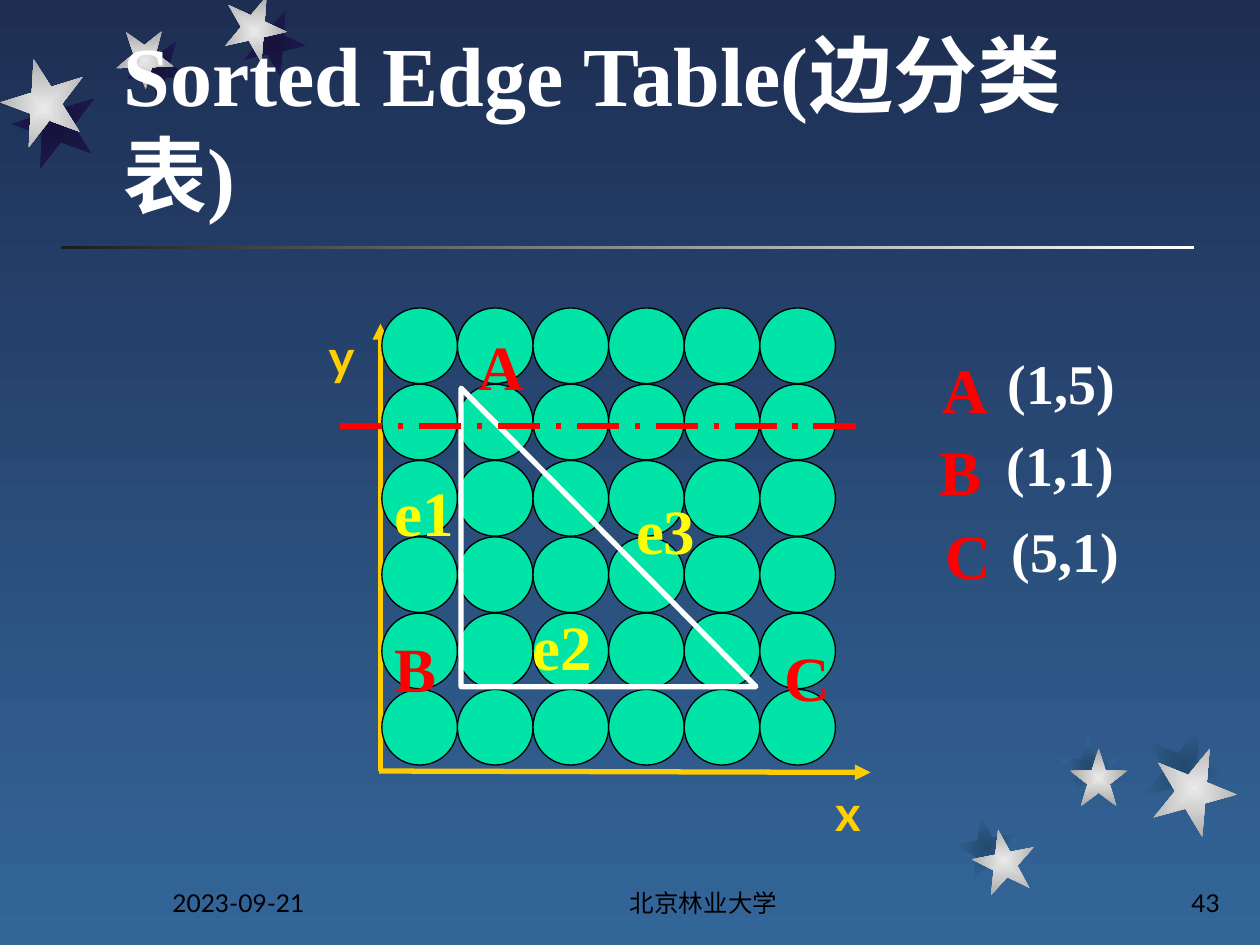
"""Build the Sorted Edge Table slide with its pixel grid, triangle and labels."""
from lxml.etree import SubElement
from pptx import Presentation
from pptx.dml.color import RGBColor
from pptx.enum.dml import MSO_LINE
from pptx.enum.shapes import MSO_CONNECTOR, MSO_SHAPE
from pptx.enum.text import MSO_ANCHOR, PP_ALIGN
from pptx.oxml.ns import qn
from pptx.util import Pt

SLIDE_SIZE = (720, 540)
BACKGROUND = ("1E2E53", "336699")
RULE = (34.6, 140.4, 648, 2.2)
RULE_COLORS = ("1C1C1C", "FFFFFF")

STAR_LIGHT = ("EAEAEA", "A7A7A7")
TOP_SHADE = ("15133B", "1E1A53")
BOTTOM_SHADE = ("24496D", "336699")
STAR_GROUPS = [
    (TOP_SHADE, [(138.2, 7.9, 36, 36, 167.3), (72, 23.8, 36, 33.1, 178.3), (7.2, 49.7, 48.2, 48.2, 200.3)]),
    (STAR_LIGHT, [(127.4, 0, 36, 36, 167.3), (66.2, 18, 33.1, 33.1, 178.3), (0.7, 37.4, 48.2, 48.2, 200.3)]),
    (BOTTOM_SHADE, [(545.8, 465.8, 36, 36, 349), (605.5, 421.2, 33.1, 33.1, 0), (652.3, 414, 48.2, 48.2, 22)]),
    (STAR_LIGHT, [(555.8, 473.8, 36, 36, 349), (611.3, 427.7, 33.1, 33.1, 0), (658.1, 426.2, 48.2, 48.2, 22)]),
]

GRID_ORIGIN = (218.2, 176)
GRID_PITCH = (43.2, 43.6)
GRID_COUNT = 6
PIXEL_SIZE = 43.2
TRIANGLE = (263.5, 221.8, 168.5, 170.6)
AXES = [((217.4, 185), (217.4, 440.6)), ((497.5, 441.4), (216.7, 440.6))]
SCAN_LINE = ((194.4, 243.4), (491, 243.4))

STYLES = {
    "footer": {"size": Pt(14), "name": "Lato", "color": "000000"},
    "title": {"size": Pt(48), "name": "Times New Roman", "bold": True, "color": "FFFFFF"},
    "axis": {"size": Pt(28), "name": "Lato", "bold": True, "color": "FFCF01"},
    "vertex": {"size": Pt(36), "name": "Times New Roman", "bold": True, "color": "FF0000"},
    "edge": {"size": Pt(36), "name": "Times New Roman", "bold": True, "color": "FFFF00"},
    "coordinate": {"size": Pt(32), "name": "Times New Roman", "bold": True, "color": "FFFFFF"},
}
LABEL_SIZES = {"axis": (31.3, 41), "vertex": (40.3, 50.4), "edge": (60.5, 50.4), "coordinate": (75.6, 45.4)}
UNWRAPPED = ("axis", "coordinate")

FOOTERS = [
    ("2023-09-21", (91.4, 491.8, 149.8, 36), PP_ALIGN.LEFT),
    ("北京林业大学", (288, 491.8, 228.2, 36), PP_ALIGN.CENTER),
    ("43", (554.4, 491.8, 149.8, 36), PP_ALIGN.RIGHT),
]
TITLE = ("Sorted Edge Table(边分类表)", (63.4, 16.6, 613.4, 115.2))
LABELS = [
    ("x", "axis", 470.2, 443.5),
    ("y", "axis", 180.7, 182.9),
    ("(1,5)", "coordinate", 568.8, 195.8),
    ("A", "vertex", 266.4, 183.6),
    ("A", "vertex", 531.4, 196.6),
    ("(1,1)", "coordinate", 568.1, 242.6),
    ("B", "vertex", 529.9, 243.4),
    ("B", "vertex", 218.2, 356.4),
    ("(5,1)", "coordinate", 571, 291.6),
    ("C", "vertex", 533.5, 291.6),
    ("C", "vertex", 441.4, 361.4),
    ("e2", "edge", 297.4, 343.4),
    ("e3", "edge", 356.4, 277.2),
    ("e1", "edge", 218.2, 267.1),
]


def rgb(value):
    return RGBColor.from_string(value)


def fill_gradient(fill, colors, angle=0):
    fill.gradient()
    fill.gradient_angle = angle
    for stop, color in zip(fill.gradient_stops, colors):
        stop.color.rgb = rgb(color)


def add_shape(slide, kind, box, fill=None, line=None, width=0.75):
    shape = slide.shapes.add_shape(kind, *map(Pt, box))
    shape.shadow.inherit = False
    if fill:
        shape.fill.solid()
        shape.fill.fore_color.rgb = rgb(fill)
    else:
        shape.fill.background()
    if line:
        shape.line.color.rgb = rgb(line)
        shape.line.width = Pt(width)
    else:
        shape.line.fill.background()
    return shape


def add_star(slide, box, rotation, colors):
    star = add_shape(slide, MSO_SHAPE.STAR_5_POINT, box)
    star.rotation = rotation
    fill_gradient(star.fill, colors)
    gradient = star.element.spPr.find(qn("a:gradFill"))
    gradient.remove(gradient.find(qn("a:lin")))
    radial = SubElement(gradient, qn("a:path"), {"path": "shape"})
    SubElement(radial, qn("a:fillToRect"), dict.fromkeys("ltrb", "50000"))


def add_line(slide, start, end, color, arrow=False, dash=None):
    connector = slide.shapes.add_connector(MSO_CONNECTOR.STRAIGHT, *map(Pt, start + end))
    connector.line.color.rgb = rgb(color)
    connector.line.width = Pt(3)
    if dash:
        connector.line.dash_style = dash
    if arrow:
        SubElement(connector.line._get_or_add_ln(), qn("a:headEnd"), {"type": "triangle"})
    SubElement(connector.element.spPr, qn("a:effectLst"))


def add_text(slide, text, box, style, anchor=MSO_ANCHOR.TOP, alignment=PP_ALIGN.LEFT):
    frame = slide.shapes.add_textbox(*map(Pt, box)).text_frame
    frame.word_wrap = style not in UNWRAPPED
    frame.vertical_anchor = anchor
    paragraph = frame.paragraphs[0]
    paragraph.alignment = alignment
    run = paragraph.add_run()
    run.text = text
    for attribute, value in STYLES[style].items():
        if attribute == "color":
            run.font.color.rgb = rgb(value)
        else:
            setattr(run.font, attribute, value)


def main():
    presentation = Presentation()
    presentation.slide_width, presentation.slide_height = map(Pt, SLIDE_SIZE)
    slide = presentation.slides.add_slide(presentation.slide_layouts[6])
    fill_gradient(slide.background.fill, BACKGROUND, 270)

    rule = add_shape(slide, MSO_SHAPE.RECTANGLE, RULE)
    fill_gradient(rule.fill, RULE_COLORS)
    for colors, stars in STAR_GROUPS:
        for *box, rotation in stars:
            add_star(slide, box, rotation, colors)

    for text, box, alignment in FOOTERS:
        add_text(slide, text, box, "footer", MSO_ANCHOR.BOTTOM, alignment)
    add_text(slide, *TITLE, "title", MSO_ANCHOR.BOTTOM)

    for start, end in AXES:
        add_line(slide, start, end, "FFCC00", arrow=True)
    for row in range(GRID_COUNT):
        for column in range(GRID_COUNT):
            left = GRID_ORIGIN[0] + column * GRID_PITCH[0]
            top = GRID_ORIGIN[1] + row * GRID_PITCH[1]
            add_shape(slide, MSO_SHAPE.OVAL, (left, top, PIXEL_SIZE, PIXEL_SIZE), "00E4A8", "000000")
    add_shape(slide, MSO_SHAPE.RIGHT_TRIANGLE, TRIANGLE, line="FFFFFF", width=3)
    add_line(slide, *SCAN_LINE, "FF0000", dash=MSO_LINE.LONG_DASH_DOT)

    for text, style, left, top in LABELS:
        add_text(slide, text, (left, top, *LABEL_SIZES[style]), style)
    presentation.save("out.pptx")


if __name__ == "__main__":
    main()
